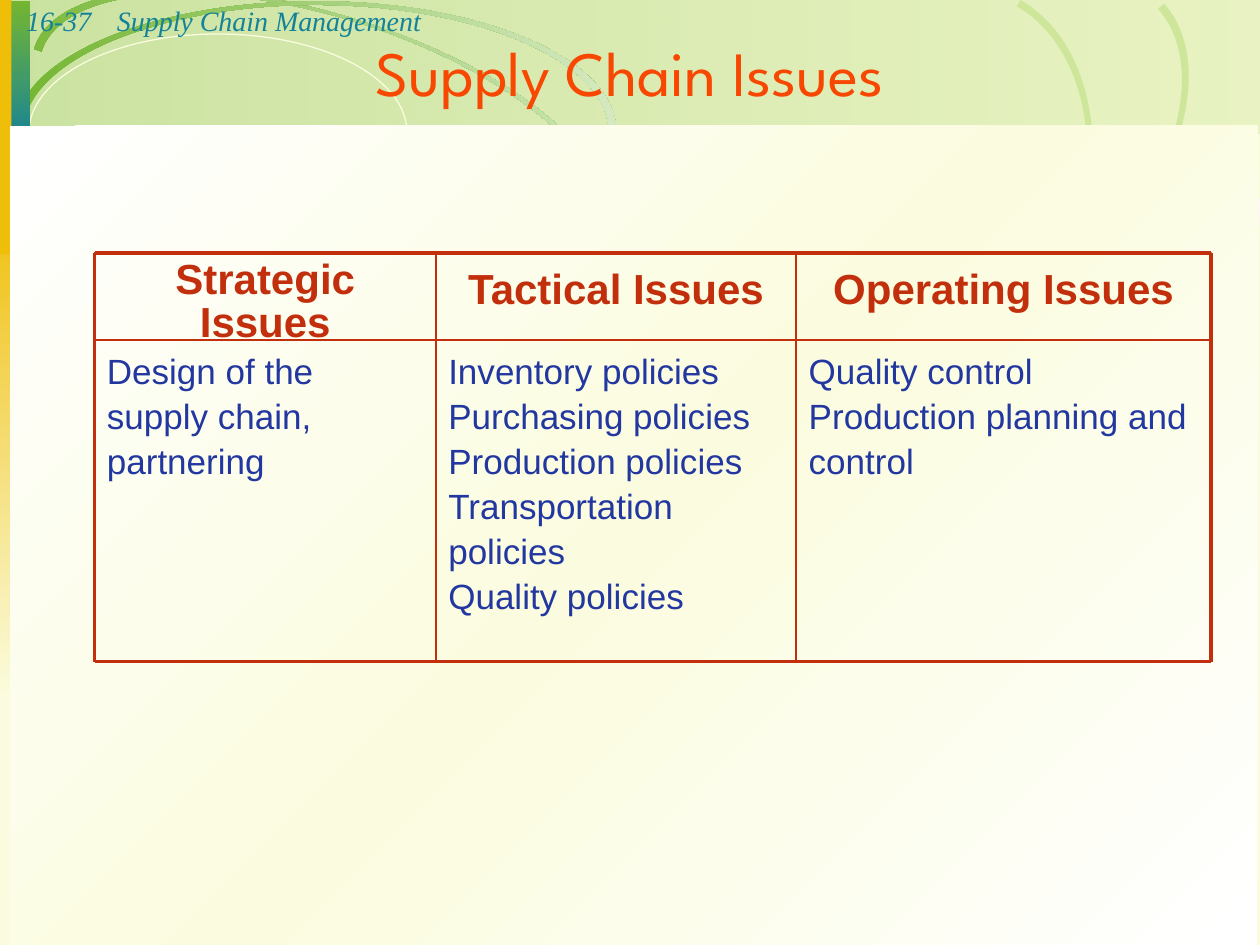
from pptx import Presentation, util as u
from pptx.dml.color import RGBColor
from pptx.enum import shapes, text
from pptx.oxml import parse_xml
from pptx.oxml.ns import nsdecls, qn
from lxml import etree

SCALE = 9144
CREAM = RGBColor(0xFB, 0xFC, 0xDF)
WHITE = RGBColor(0xFF, 0xFF, 0xFF)
GREEN = RGBColor(0x74, 0xB6, 0x32)
PALE = RGBColor(0xD5, 0xE9, 0xC1)
LIME = RGBColor(0xBC, 0xDD, 0x7B)
RING = RGBColor(0xCD, 0xE6, 0x9A)
MIST = RGBColor(0xEC, 0xF3, 0xD9)
SHELL = RGBColor(0xFD, 0xF8, 0xF5)
TEAL = RGBColor(0x14, 0x82, 0x98)
OLIVE = RGBColor(0xCE, 0xDE, 0x73)
GOLD = RGBColor(0xEF, 0xBE, 0x09)
ORANGE = RGBColor(0xF8, 0x47, 0x00)
RED = RGBColor(0xC2, 0x2F, 0x0C)
BLUE = RGBColor(0x22, 0x37, 0xA0)

TITLE = "Supply Chain Issues"
LABELS = [(11, 112, "16-37"), (83, 850, "Supply Chain Management")]
COLUMNS = [
    (271, "Strategic Issues", 0.86, ["Design of the supply chain, partnering"]),
    (286, "Tactical Issues", 1.07, ["Inventory policies", "Purchasing policies", "Production policies",
                                    "Transportation policies", "Quality policies"]),
    (329, "Operating Issues", 1.07, ["Quality control", "Production planning and control"]),
]
ROWS = [69, 255]
GRID_LEFT, GRID_TOP = 75, 201
STRIPS = [(8, 184, TEAL, OLIVE), (190, 184, OLIVE, GOLD),
          (373, 184, GOLD, ORANGE), (555, 365, ORANGE, CREAM)]

TILTED_ARC = [
    [(33, 41), (49, -10), (161, -20), (284, 18), (406, 57), (492, 129), (476, 180)],
    [(482, 182), (499, 130), (410, 55), (284, 16), (159, -24), (43, -14), (27, 39)],
]
INNER_ARC = [
    [(573, 317), (619, 368), (734, 341), (830, 256), (925, 170), (965, 59), (919, 7)],
    [(924, 3), (971, 56), (930, 171), (832, 259), (734, 346), (616, 374), (568, 321)],
]
OUTER_ARC = [
    [(570, 404), (641, 446), (751, 391), (817, 281), (882, 171), (878, 47), (807, 5)],
    [(810, 0), (883, 43), (887, 170), (820, 283), (753, 396), (639, 453), (567, 410)],
]
LEVEL_ARC = [
    [(19, 104), (19, 49), (123, 4), (251, 4), (379, 4), (483, 49), (483, 104)],
    [(489, 104), (489, 47), (383, 1), (251, 1), (119, 1), (12, 47), (12, 104)],
]
SWEEP = [(19, 554), (558, 554), (995, 377), (995, 159)]


def px(*values):
    return [round(v * SCALE) for v in values]


def paint(sp, fill, angle=0):
    sp.shadow.inherit = False
    sp.line.fill.background()
    if isinstance(fill, RGBColor):
        sp.fill.solid()
        sp.fill.fore_color.rgb = fill
        return
    sp.fill.gradient()
    sp.fill.gradient_angle = -angle % 360
    stops = "".join(
        f'<a:gs pos="{pos * 1000}"><a:srgbClr val="{color}">'
        f'<a:alpha val="{alpha * 1000}"/></a:srgbClr></a:gs>'
        for pos, color, alpha in fill)
    grad = sp._element.spPr.find(qn("a:gradFill"))
    grad.replace(grad.find(qn("a:gsLst")),
                 parse_xml(f'<a:gsLst {nsdecls("a")}>{stops}</a:gsLst>'))


def outline(sp, color, width):
    sp.shadow.inherit = False
    sp.fill.background()
    sp.line.color.rgb = color
    sp.line.width = u.Pt(width)


def rect(box, fill, angle=0):
    paint(s.shapes.add_shape(shapes.MSO_SHAPE.RECTANGLE, *px(*box)), fill, angle)


def curves(edges, close=True):
    points = [px(*p) for edge in edges for p in edge]
    fb = s.shapes.build_freeform(*points[0], scale=1.0)
    fb.add_line_segments(points[1:], close=close)
    sp = fb.convert_to_shape()
    segments = list(sp._element.iter(qn("a:lnTo")))
    start = 0
    for edge in edges:
        for i in range(start, start + len(edge) - 1, 3):
            first, *others = segments[i:i + 3]
            for other in others:
                first.append(other[0])
                other.getparent().remove(other)
            first.tag = qn("a:cubicBezTo")
        start += len(edge)
    return sp


def write(p, words, font, size, color, **style):
    r = p.add_run()
    r.text = words
    r.font.name = font
    r.font.size = u.Pt(size)
    r.font.color.rgb = color
    for name, value in style.items():
        setattr(r.font, name, value)


def cell(box, lines, size, color, bold, align, spacing):
    sp = grid.shapes.add_shape(shapes.MSO_SHAPE.RECTANGLE, *px(*box))
    outline(sp, RED, 1)
    tf = sp.text_frame
    tf.word_wrap = True
    tf.vertical_anchor = text.MSO_ANCHOR.TOP
    for i, words in enumerate(lines):
        p = tf.add_paragraph() if i else tf.paragraphs[0]
        p.alignment = align
        p.line_spacing = spacing
        write(p, words, "Arial", size, color, bold=bold)


def rule(x1, y1, x2, y2, width):
    line = grid.shapes.add_connector(shapes.MSO_CONNECTOR.STRAIGHT, *px(x1, y1, x2, y2))
    line.line.color.rgb = RED
    line.line.width = u.Pt(width)
    etree.SubElement(line._element.spPr, qn("a:effectLst"))


def edges_of(start, sizes):
    return [start + sum(sizes[:i]) for i in range(len(sizes) + 1)]


prs = Presentation()
prs.slide_width, prs.slide_height = px(1000, 750)
s = prs.slides.add_slide(prs.slide_layouts[5])
s.background.fill.solid()
s.background.fill.fore_color.rgb = CREAM

rect((1, 0, 1000, 106), [(0, GREEN, 36), (100, LIME, 29)])
paint(curves(TILTED_ARC), [(0, GREEN, 100), (100, PALE, 100)], 342)
outline(s.shapes.add_shape(shapes.MSO_SHAPE.OVAL, *px(23, 27, 300, 156)), CREAM, 0.75)
for shift, color in [(0, MIST), (1, SHELL)]:
    outline(curves([[(x + shift, y - shift) for x, y in SWEEP]], False), color, 6)
rect((0, 155, 22, 401), [(0, GOLD, 100), (100, CREAM, 100)], 90)
paint(curves(INNER_ARC), RING)
paint(curves(OUTER_ARC), RING)
paint(curves(LEVEL_ARC), [(0, GREEN, 100), (100, PALE, 100)])
rect((1, 1, 23, 114), [(0, GREEN, 100), (100, TEAL, 100)], 90)
rect((0, 0, 9, 202), GOLD)
for left, width, start, end in STRIPS:
    rect((left, 106, width, 8), [(0, start, 100), (100, end, 100)])
rect((8, 100, 990, 650), [(0, WHITE, 100), (50, CREAM, 100), (100, WHITE, 100)], 45)

for left, width, words in LABELS:
    tf = s.shapes.add_textbox(*px(left, -2, width, 37)).text_frame
    tf.word_wrap = True
    write(tf.paragraphs[0], words, "Times New Roman", 16, TEAL, italic=True)

title = s.shapes.title
s.shapes._spTree.append(title._element)
title.left, title.top, title.width, title.height = px(0, 23, 1000, 69)
tf = title.text_frame
tf.auto_size = text.MSO_AUTO_SIZE.NONE
tf.vertical_anchor = text.MSO_ANCHOR.BOTTOM
tf.paragraphs[0].alignment = text.PP_ALIGN.CENTER
write(tf.paragraphs[0], TITLE, "League Spartan", 36, ORANGE)

grid = s.shapes.add_group_shape()
xs = edges_of(GRID_LEFT, [column[0] for column in COLUMNS])
ys = edges_of(GRID_TOP, ROWS)
for x, (width, heading, spacing, items) in zip(xs, COLUMNS):
    cell((x, ys[0], width, ROWS[0]), [heading], 24, RED, True, text.PP_ALIGN.CENTER, spacing)
    cell((x, ys[1], width, ROWS[1]), items, 20, BLUE, False, text.PP_ALIGN.LEFT, 1.07)
for y in ys:
    rule(xs[0], y, xs[-1], y, 2.25 if y in (ys[0], ys[-1]) else 1)
for x in xs:
    rule(x, ys[0], x, ys[-1], 2.25 if x in (xs[0], xs[-1]) else 1)

prs.save("out.pptx")
